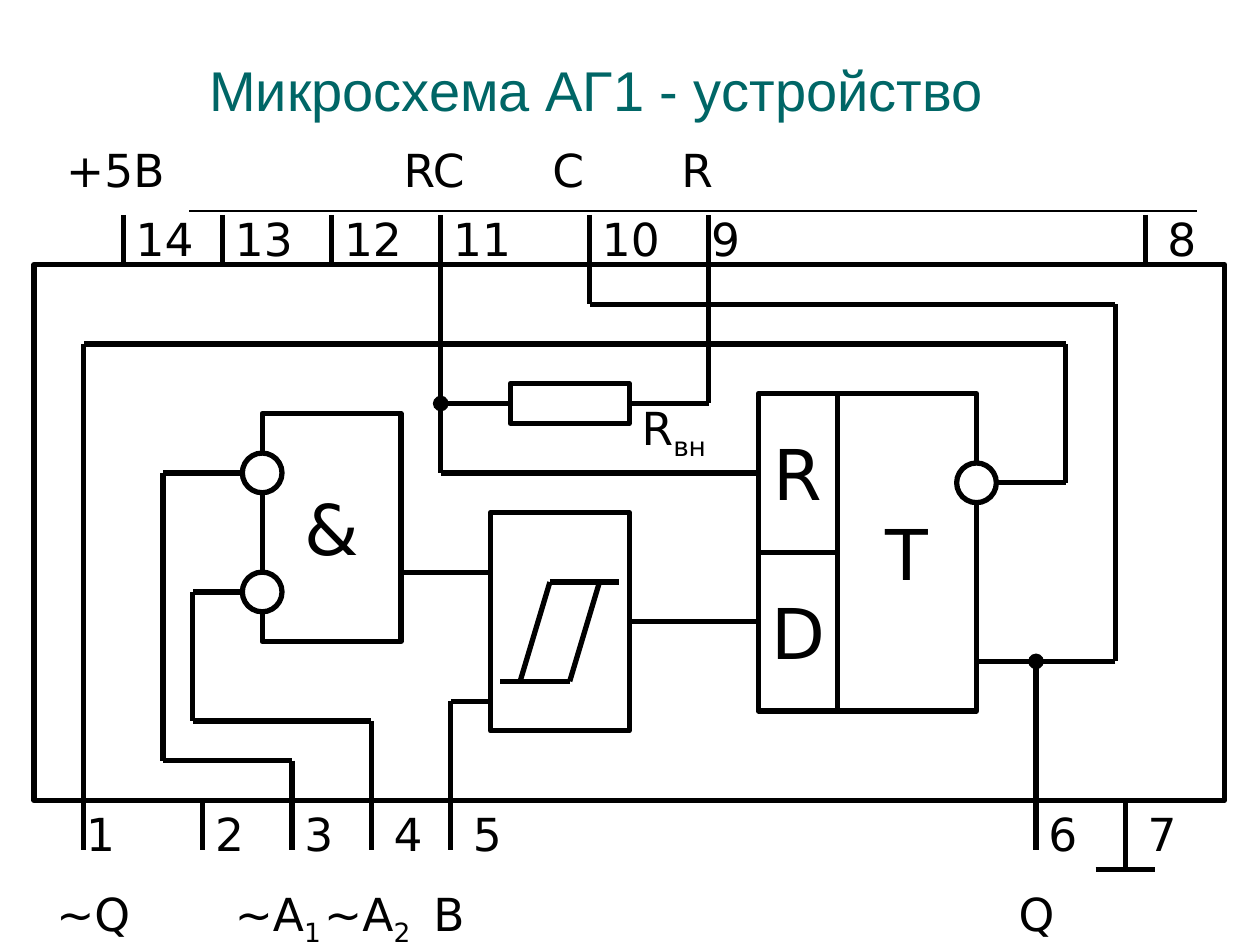
from dataclasses import dataclass

from lxml import etree
from pptx import Presentation
from pptx.dml.color import RGBColor
from pptx.enum.shapes import MSO_CONNECTOR, MSO_SHAPE
from pptx.enum.text import MSO_ANCHOR, MSO_AUTO_SIZE, PP_ALIGN
from pptx.oxml.ns import qn
from pptx.util import Inches, Pt

RECT, OVAL = MSO_SHAPE.RECTANGLE, MSO_SHAPE.OVAL
STRAIGHT = MSO_CONNECTOR.STRAIGHT
TOP, MIDDLE = MSO_ANCHOR.TOP, MSO_ANCHOR.MIDDLE
LEFT, CENTER = PP_ALIGN.LEFT, PP_ALIGN.CENTER
NO_FIT = MSO_AUTO_SIZE.NONE

WIDTH, HEIGHT = 10, 7.5
CELL = 2 / 25.4
CHIP_LEFT, CHIP_TOP = 0.27, 2.1
BLACK, WHITE, TEAL = "000000", "FFFFFF", "006666"
FONT = "DejaVu Sans"


@dataclass
class Block:
    col: float
    row: float
    cols: float
    rows: float
    text: str = ""
    kind: int = RECT


@dataclass
class Wire:
    points: list
    dot: bool = False


@dataclass
class Label:
    col: float
    row: float
    text: str
    cols: float = 12
    sub: str = ""


PIN_TOP, PIN_BOTTOM, CHIP_ROWS = -5, 59, 54
TOP_NUMBERS, TOP_NAMES, BOTTOM_NAMES = -6, -13, 62

BLOCKS = [
    Block(0, 0, 120, CHIP_ROWS),
    Block(23, 15, 14, 23, "&"),
    Block(46, 25, 14, 22),
    Block(81, 13, 14, 32, "T"),
    Block(73, 13, 8, 16, "R"),
    Block(73, 29, 8, 16, "D"),
]
OVERLAYS = [
    Block(21, 19, 4, 4, kind=OVAL),
    Block(21, 31, 4, 4, kind=OVAL),
    Block(93, 20, 4, 4, kind=OVAL),
    Block(48, 12, 12, 4),
]
WIRES = [
    Wire([(97, 22), (104, 22), (104, 8), (5, 8), (5, PIN_BOTTOM)]),
    Wire([(23, 21), (13, 21), (13, 50), (26, 50), (26, PIN_BOTTOM)]),
    Wire([(23, 33), (16, 33), (16, 46), (34, 46), (34, PIN_BOTTOM)]),
    Wire([(46, 44), (42, 44), (42, PIN_BOTTOM)]),
    Wire([(37, 31), (46, 31)]),
    Wire([(60, 36), (73, 36)]),
    Wire([(47, 42), (54, 42), (57, 32)]),
    Wire([(49, 42), (52, 32), (59, 32)]),
    Wire([(41, PIN_TOP), (41, 21), (73, 21)]),
    Wire([(48, 14), (41, 14)], dot=True),
    Wire([(60, 14), (68, 14), (68, PIN_TOP)]),
    Wire([(56, PIN_TOP), (56, 4), (109, 4), (109, 40), (101, 40)], dot=True),
    Wire([(95, 40), (101, 40), (101, PIN_BOTTOM)]),
    Wire([(17, CHIP_ROWS), (17, PIN_BOTTOM)]),
    Wire([(110, CHIP_ROWS), (110, 61)]),
    Wire([(107, 61), (113, 61)]),
] + [Wire([(col, PIN_TOP), (col, 0)]) for col in (9, 19, 30, 112)]

BOTTOM_PINS = {1: 4, 2: 17, 3: 26, 4: 35, 5: 43, 6: 101, 7: 111}
TOP_PINS = {14: 9, 13: 19, 12: 30, 11: 41, 10: 56, 9: 67, 8: 113}
LABELS = (
    [Label(col, CHIP_ROWS, str(n), 7) for n, col in BOTTOM_PINS.items()]
    + [Label(col, TOP_NUMBERS, str(n), 9 if n > 9 else 7) for n, col in TOP_PINS.items()]
    + [Label(col, TOP_NAMES, name, 15)
       for col, name in ((2, "+5В"), (36, "RC"), (51, "C"), (64, "R"))]
    + [Label(col, BOTTOM_NAMES, name) for col, name in ((1, "~Q"), (39, "B"), (98, "Q"))]
    + [Label(19, BOTTOM_NAMES, "~A", sub="1"),
       Label(28, BOTTOM_NAMES, "~A", sub="2"),
       Label(60, 13, "R", sub="вн")]
)


def color(value: str) -> RGBColor:
    return RGBColor.from_string(value)


def at(col: float, row: float) -> tuple:
    return Inches(CHIP_LEFT + col * CELL), Inches(CHIP_TOP + row * CELL)


def span(cells: float) -> int:
    return Inches(cells * CELL)


def style_run(r, size: float, ink: str = BLACK, font: str = FONT) -> None:
    r.font.size = Pt(size)
    r.font.name = font
    r.font.color.rgb = color(ink)


def draw_line(s, start: tuple, end: tuple, width: float, dot: bool = False) -> None:
    c = s.shapes.add_connector(STRAIGHT, *start, *end)
    c.line.color.rgb = color(BLACK)
    c.line.width = Pt(width)
    if dot:
        etree.SubElement(c.line._get_or_add_ln(), qn("a:tailEnd"), type="oval")
    etree.SubElement(c._element.spPr, qn("a:effectLst"))


def draw_wire(s, wire: Wire) -> None:
    last = len(wire.points) - 1
    for i, (start, end) in enumerate(zip(wire.points, wire.points[1:]), 1):
        draw_line(s, at(*start), at(*end), 3, wire.dot and i == last)


def draw_block(s, block: Block) -> None:
    sp = s.shapes.add_shape(block.kind, *at(block.col, block.row),
                            span(block.cols), span(block.rows))
    sp.shadow.inherit = False
    sp.fill.solid()
    sp.fill.fore_color.rgb = color(WHITE)
    sp.line.color.rgb = color(BLACK)
    sp.line.width = Pt(3)
    if block.text:
        tf = sp.text_frame
        tf.text = block.text
        tf.word_wrap = False
        tf.vertical_anchor = MIDDLE
        p = tf.paragraphs[0]
        p.alignment = CENTER
        style_run(p.runs[0], 40)


def draw_label(s, label: Label) -> None:
    sp = s.shapes.add_textbox(*at(label.col, label.row), span(label.cols), Inches(0.54))
    tf = sp.text_frame
    tf.word_wrap = True
    tf.text = label.text
    p = tf.paragraphs[0]
    if label.sub:
        r = p.add_run()
        r.text = label.sub
        r.font._element.set("baseline", "-25000")
    for r in p.runs:
        style_run(r, 26)


def draw_title(s, text: str) -> None:
    sp = s.shapes.title
    sp.left, sp.top = Inches(0.156 * WIDTH), Inches(0.052 * HEIGHT)
    sp.width, sp.height = Inches(0.788 * WIDTH), Inches(0.15 * HEIGHT)
    tf = sp.text_frame
    tf.text = text
    tf.vertical_anchor = TOP
    tf.auto_size = NO_FIT
    p = tf.paragraphs[0]
    p.alignment = LEFT
    style_run(p.runs[0], 32, TEAL, "Arial")


def main() -> None:
    prs = Presentation()
    prs.slide_width, prs.slide_height = Inches(WIDTH), Inches(HEIGHT)
    s = prs.slides.add_slide(prs.slide_layouts[5])
    draw_title(s, "Микросхема АГ1 - устройство")
    rule_y = Inches(0.223 * HEIGHT)
    draw_line(s, (Inches(0.15 * WIDTH), rule_y), (Inches(0.95 * WIDTH), rule_y), 1)
    for block in BLOCKS:
        draw_block(s, block)
    for wire in WIRES:
        draw_wire(s, wire)
    for block in OVERLAYS:
        draw_block(s, block)
    for label in LABELS:
        draw_label(s, label)
    prs.save("out.pptx")


if __name__ == "__main__":
    main()
